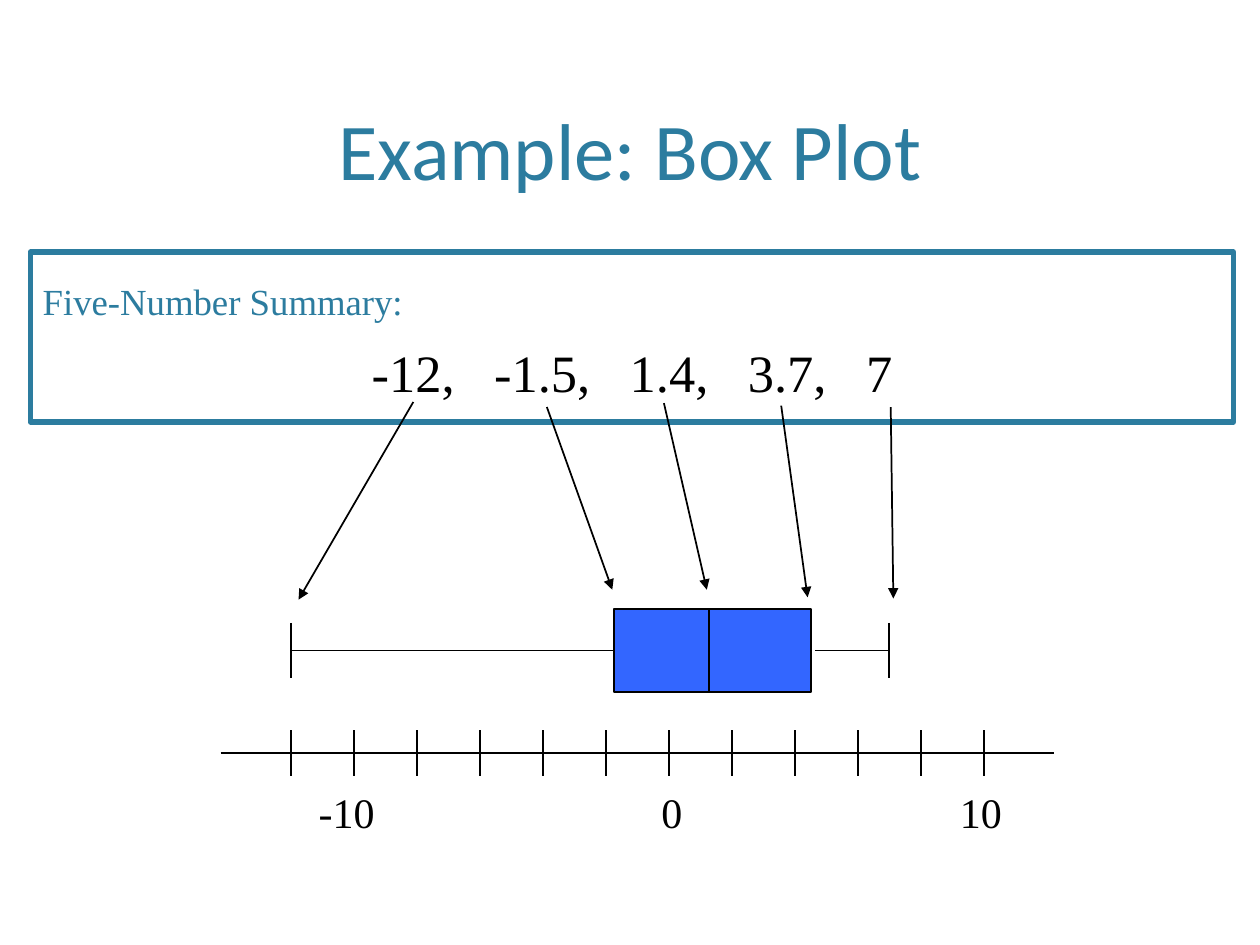
from pptx import Presentation
from pptx.dml.color import RGBColor
from pptx.enum.shapes import MSO_CONNECTOR, MSO_SHAPE
from pptx.enum.text import MSO_ANCHOR, PP_ALIGN
from pptx.oxml.ns import qn
from pptx.util import Pt
from lxml import etree

STRAIGHT, RECT = MSO_CONNECTOR.STRAIGHT, MSO_SHAPE.RECTANGLE
TOP, BOTTOM = MSO_ANCHOR.TOP, MSO_ANCHOR.BOTTOM
LEFT, CENTER = PP_ALIGN.LEFT, PP_ALIGN.CENTER
TEAL = RGBColor(0x2C, 0x7C, 0x9F)
BLUE = RGBColor(0x33, 0x66, 0xFF)
BLACK = RGBColor(0, 0, 0)
WHITE = RGBColor(255, 255, 255)
SERIF = "Times New Roman"


def set_attrs(obj, values):
    for name, value in values.items():
        setattr(obj, name, value)


def add_run(p, text, size, color, font=SERIF):
    r = p.add_run()
    r.text = text
    set_attrs(r.font, {"size": Pt(size), "name": font})
    r.font.color.rgb = color
    return r


def add_rect(s, box, fill, line, width):
    sp = s.shapes.add_shape(RECT, *map(Pt, box))
    sp.shadow.inherit = False
    sp.fill.solid()
    sp.fill.fore_color.rgb = fill
    sp.line.color.rgb = line
    sp.line.width = Pt(width)
    return sp


def add_line(s, x1, y1, x2, y2, arrow=False):
    c = s.shapes.add_connector(STRAIGHT, Pt(x1), Pt(y1), Pt(x2), Pt(y2))
    c.line.color.rgb = BLACK
    c.line.width = Pt(1)
    if arrow:
        etree.SubElement(c.line._get_or_add_ln(), qn("a:tailEnd"), type="triangle")
    etree.SubElement(c._element.spPr, qn("a:effectLst"))


def add_title(s, box, text):
    tf = s.shapes.add_textbox(*map(Pt, box)).text_frame
    set_attrs(tf, {"word_wrap": True, "vertical_anchor": BOTTOM, "margin_bottom": Pt(1.2)})
    p = tf.paragraphs[0]
    p.alignment = CENTER
    add_run(p, text, 46, TEAL, "Calibri")


def add_summary(s, box, heading, numbers):
    tf = add_rect(s, box, WHITE, TEAL, 3).text_frame
    set_attrs(tf, {"word_wrap": True, "vertical_anchor": TOP, "margin_top": Pt(15)})
    p = tf.paragraphs[0]
    p.alignment = LEFT
    add_run(p, heading, 21, TEAL)
    p = tf.add_paragraph()
    set_attrs(p, {"alignment": CENTER, "space_before": Pt(10)})
    for i, number in enumerate(numbers):
        if i:
            add_run(p, ",", 30, BLACK)
            gap = add_run(p, " ", 30, BLACK)
            gap.font._element.set("spc", "1500")
        add_run(p, number, 30, BLACK)


def add_axis(s, box, labels):
    x, y, w, h = box
    add_line(s, x, y + h / 2, x + w, y + h / 2)
    for i in range(12):
        tick = x + 40.3 + 36 * i
        add_line(s, tick, y, tick, y + h)
    for text, dx, width in labels:
        tf = s.shapes.add_textbox(Pt(x + dx), Pt(y + 28.5), Pt(width), Pt(36)).text_frame
        tf.word_wrap = True
        add_run(tf.paragraphs[0], text, 24, BLACK)


def add_box_plot(s, box, q1, median, q3):
    x, y, w, h = box
    mid = y + h / 2
    for end in (x, x + w):
        add_line(s, end, mid - 15.8, end, mid + 15.8)
    add_line(s, x, mid, x + q1, mid)
    for start, end in ((q1, median), (median, q3)):
        add_rect(s, (x + start, y, end - start, h), BLUE, BLACK, 1)
    add_line(s, x + q3 + 2.6, mid, x + w, mid)


def add_arrows(s, box, arrows):
    x, y = box[:2]
    for x1, y1, x2, y2 in arrows:
        add_line(s, x + x1, y + y1, x + x2, y + y2, arrow=True)


prs = Presentation()
prs.slide_width, prs.slide_height = Pt(720), Pt(540)
s = prs.slides.add_slide(prs.slide_layouts[6])

add_title(s, (43.2, 8.6, 633.6, 105.2), "Example: Box Plot")
add_summary(s, (17.3, 144, 687.6, 97.2), "Five-Number Summary:",
            ["-12", "-1.5", "1.4", "3.7", "7"])
add_axis(s, (126, 417.4, 476.4, 26),
         [("-10", 49, 54.7), ("0", 244.8, 23), ("10", 415.4, 45.4)])
add_box_plot(s, (166.3, 348, 341.5, 47.5), 184.5, 239, 297)
add_arrows(s, (166.3, 229.7, 344.5, 113), [
    (69.9, 0, 4.3, 113),
    (146.2, 2.9, 183.6, 107.3),
    (213.1, 0.7, 237.6, 107.3),
    (280.1, 2.1, 295.2, 111.6),
    (342.7, 2.9, 344.2, 112.3),
])

prs.save("out.pptx")
